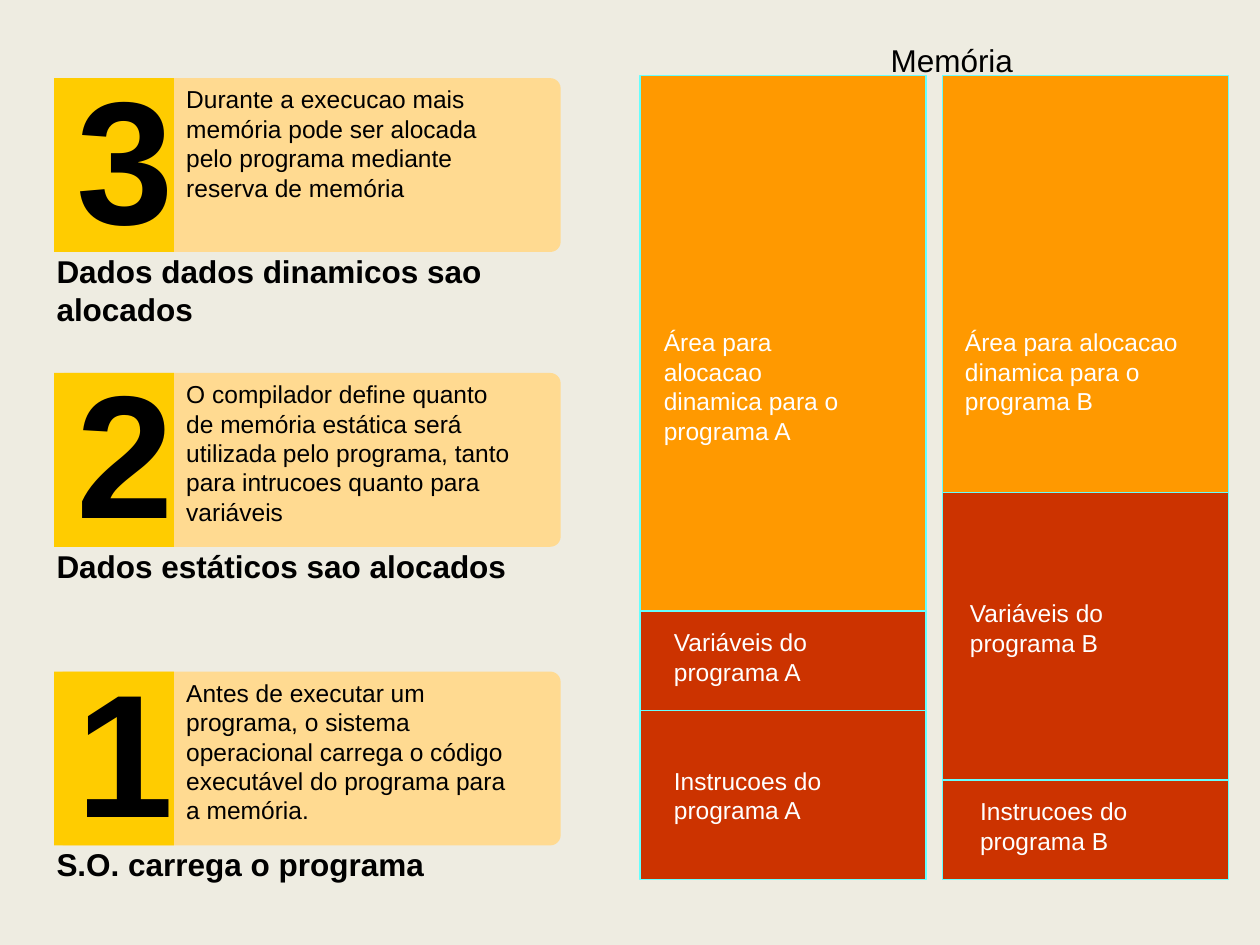
from typing import NamedTuple

from pptx import Presentation
from pptx.dml.color import RGBColor
from pptx.enum.shapes import MSO_SHAPE
from pptx.util import Inches, Pt

BLACK, WHITE = "000000", "FFFFFF"
BACKGROUND, CARD, BADGE = "EEECE1", "FFDA91", "FFCC00"
DYNAMIC, STATIC, BORDER = "FF9900", "CC3300", "66FFFF"

STEP_LEFT, STEP_HEIGHT, BADGE_WIDTH = 0.43, 1.38, 0.95
COLUMN_WIDTH = 2.27


class Step(NamedTuple):
    number: str
    top: float
    description: str
    title: str


class Section(NamedTuple):
    label: str
    top: float
    height: float
    fill: str
    border_width: float
    label_left: float
    label_top: float
    label_width: float


class MemoryColumn(NamedTuple):
    left: float
    sections: tuple[Section, ...]


STEPS = (
    Step("2", 2.96,
         "O compilador define quanto de memória estática será utilizada pelo "
         "programa, tanto para intrucoes quanto para variáveis",
         "Dados estáticos sao alocados"),
    Step("3", 0.62,
         "Durante a execucao mais memória pode ser alocada pelo programa "
         "mediante reserva de memória",
         "Dados dados dinamicos sao alocados"),
    Step("1", 5.33,
         "Antes de executar um programa, o sistema operacional carrega o código\n"
         "executável do programa para a memória.",
         "S.O. carrega o programa"),
)

COLUMNS = (
    MemoryColumn(5.08, (
        Section("Área para alocacao dinamica para o programa A",
                0.6, 4.25, DYNAMIC, 1, 5.17, 2.55, 1.8),
        Section("Instrucoes do programa A",
                5.64, 1.34, STATIC, 0.75, 5.25, 6.03, 1.45),
        Section("Variáveis do programa A",
                4.85, 0.79, STATIC, 0.75, 5.25, 4.93, 1.52),
    )),
    MemoryColumn(7.48, (
        Section("Área para alocacao dinamica para o programa B",
                0.6, 3.31, DYNAMIC, 1, 7.56, 2.55, 2.08),
        Section("Instrucoes do programa B",
                6.19, 0.79, STATIC, 0.75, 7.68, 6.27, 1.49),
        Section("Variáveis do programa B",
                3.91, 2.28, STATIC, 0.75, 7.6, 4.7, 1.5),
    )),
)


def color(hex_value: str) -> RGBColor:
    return RGBColor.from_string(hex_value)


def add_text(slide, text: str, left: float, top: float, width: float,
             height: float, *, size: float = 14, ink: str = BLACK,
             bold: bool = False, wrap: bool = True) -> None:
    """Add a text box with one paragraph per line of text."""
    box = slide.shapes.add_textbox(
        Inches(left), Inches(top), Inches(width), Inches(height))
    frame = box.text_frame
    frame.word_wrap = wrap
    frame.text = text
    for paragraph in frame.paragraphs:
        font = paragraph.font
        font.name, font.size, font.bold = "Arial", Pt(size), bold
        font.color.rgb = color(ink)


def add_block(slide, left: float, top: float, width: float, height: float,
              fill: str, *, kind: MSO_SHAPE = MSO_SHAPE.RECTANGLE,
              border_width: float = 0):
    block = slide.shapes.add_shape(
        kind, Inches(left), Inches(top), Inches(width), Inches(height))
    block.shadow.inherit = False
    block.fill.solid()
    block.fill.fore_color.rgb = color(fill)
    if border_width:
        block.line.color.rgb = color(BORDER)
        block.line.width = Pt(border_width)
    else:
        block.line.fill.background()
    return block


def add_step(slide, step: Step) -> None:
    card = add_block(slide, STEP_LEFT, step.top, 4.02, STEP_HEIGHT, CARD,
                     kind=MSO_SHAPE.ROUNDED_RECTANGLE)
    card.adjustments[0] = 0.06
    add_text(slide, step.description, STEP_LEFT + BADGE_WIDTH, step.top, 2.83, 1.26)
    add_text(slide, step.title, 0.35, step.top + 1.33, 4.09, 0.4, size=18, bold=True)
    add_block(slide, STEP_LEFT, step.top, BADGE_WIDTH, STEP_HEIGHT, BADGE)
    add_text(slide, step.number, 0.51, step.top - 0.28, 0.87, 1.77,
             size=100, bold=True)


def add_memory_column(slide, column: MemoryColumn) -> None:
    for section in column.sections:
        add_block(slide, column.left, section.top, COLUMN_WIDTH, section.height,
                  section.fill, border_width=section.border_width)
        add_text(slide, section.label, section.label_left, section.label_top,
                 section.label_width, 0.56, ink=WHITE)


def main() -> None:
    presentation = Presentation()
    presentation.slide_width = Inches(10)
    presentation.slide_height = Inches(7.5)
    slide = presentation.slides.add_slide(presentation.slide_layouts[6])
    slide.background.fill.solid()
    slide.background.fill.fore_color.rgb = color(BACKGROUND)

    add_text(slide, "Memória", 6.97, 0.28, 1.24, 0.4, size=18, wrap=False)
    for column in COLUMNS:
        add_memory_column(slide, column)
    for step in STEPS:
        add_step(slide, step)
    presentation.save("out.pptx")


if __name__ == "__main__":
    main()
